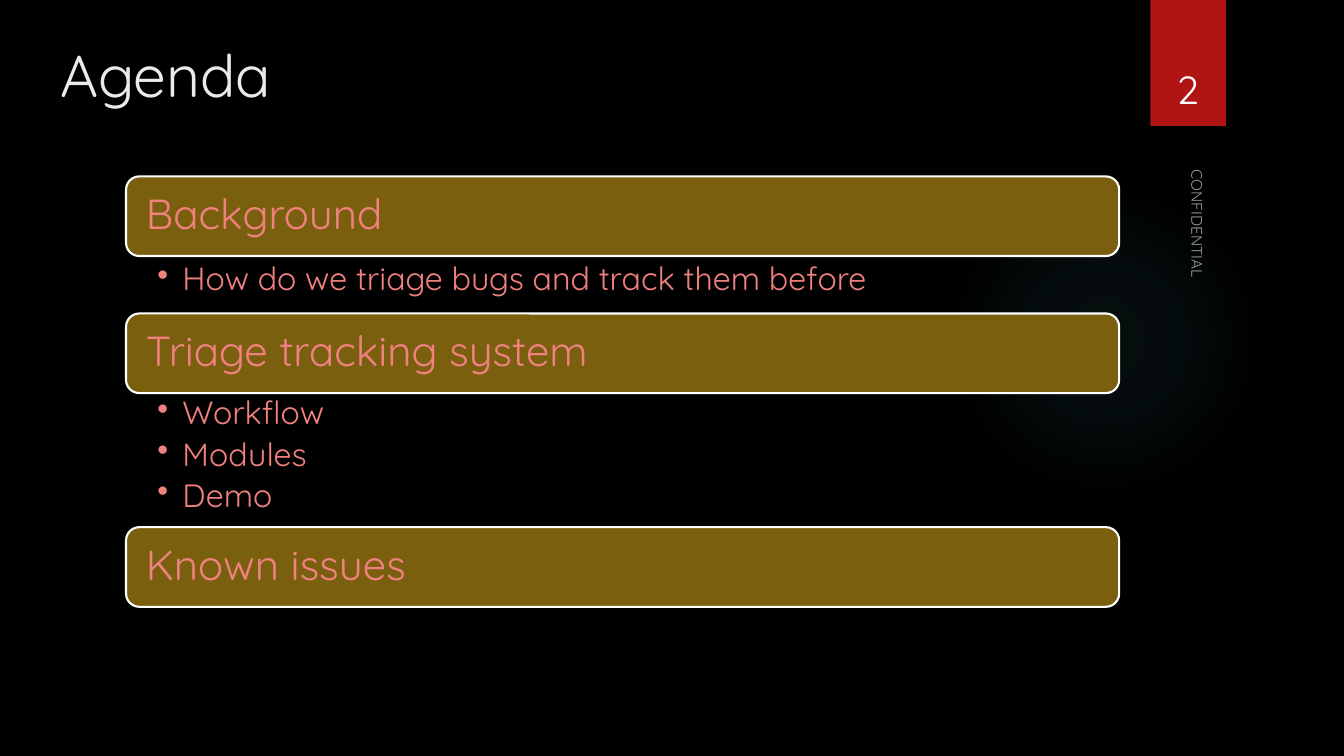
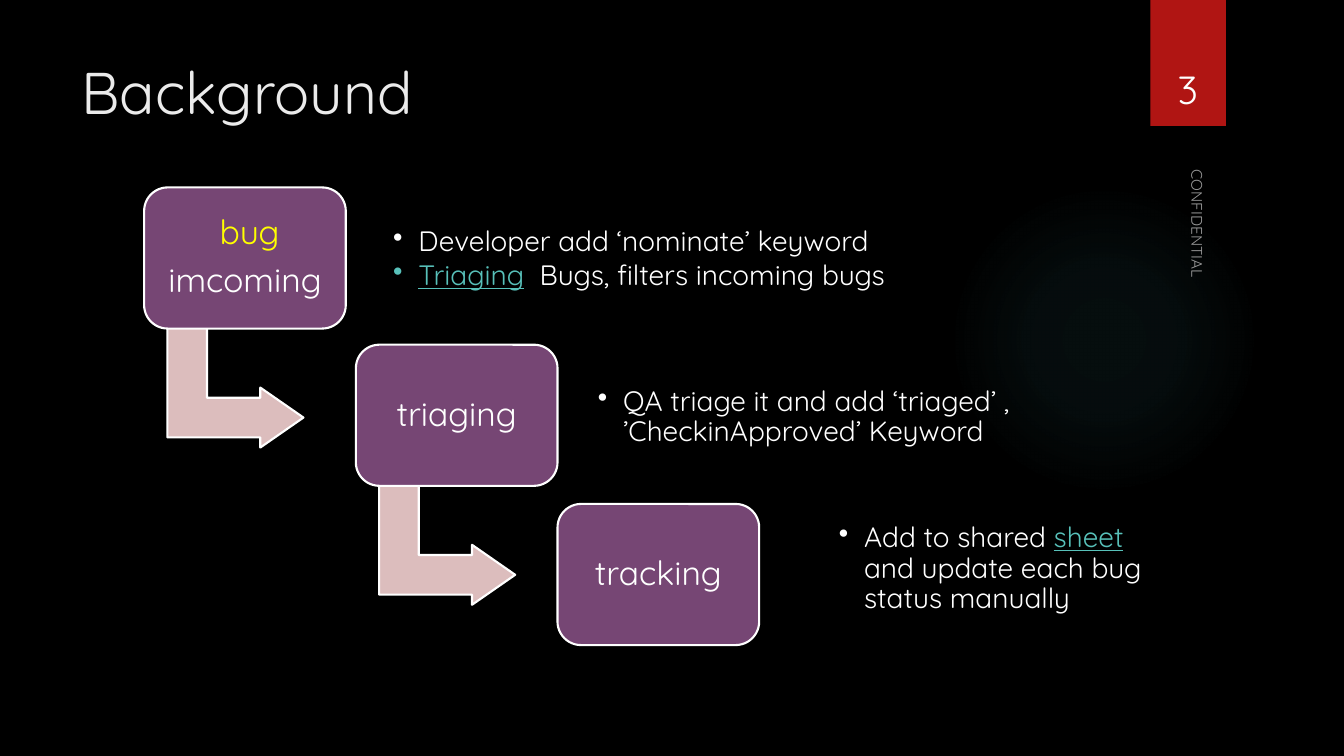
from dataclasses import dataclass

import pptx
import pptx.dml.color
import pptx.enum.shapes
import pptx.enum.text
import pptx.oxml
import pptx.oxml.ns
import pptx.shapes.autoshape
import pptx.slide
import pptx.text.text
import pptx.util

Inches = pptx.util.Inches
Pt = pptx.util.Pt
SHAPE = pptx.enum.shapes.MSO_SHAPE
ANCHOR = pptx.enum.text.MSO_ANCHOR
ALIGN = pptx.enum.text.PP_ALIGN


@dataclass(frozen=True)
class Theme:
    font: str = "Quicksand"
    background: str = "000000"
    glow: str = "50B9C1"
    tab: str = "B01513"
    title: str = "EBEBEB"
    text: str = "FFFFFF"
    muted: str = "999999"
    bar: str = "795F0E"
    agenda: str = "F1817F"
    card: str = "764674"
    arrow: str = "DCBDBD"
    highlight: str = "FFFF00"
    link: str = "58C1BA"
    title_pt: int = 42
    number_pt: int = 28
    footer_pt: int = 11
    bar_pt: int = 30
    item_pt: int = 23
    card_pt: int = 24
    note_pt: int = 20
    outline_pt: float = 1.5


THEME = Theme()


@dataclass(frozen=True)
class Box:
    left: float
    top: float
    width: float
    height: float

    def emu(self) -> tuple[int, int, int, int]:
        return (Inches(self.left), Inches(self.top),
                Inches(self.width), Inches(self.height))


@dataclass(frozen=True)
class Run:
    text: str
    color: str = THEME.text
    underline: bool = False


Paragraph = tuple[Run, ...]


@dataclass(frozen=True)
class TextStyle:
    """Insets are left, top, right, bottom in inches; after is a share of the size."""
    size: int
    insets: tuple[float, float, float, float] = (0.1, 0.05, 0.1, 0.05)
    anchor: ANCHOR = ANCHOR.TOP
    align: ALIGN = ALIGN.LEFT
    spacing: float = 1.0
    after: float = 0
    bullet: bool = False


TITLE = TextStyle(THEME.title_pt)
FOOTER = TextStyle(THEME.footer_pt, anchor=ANCHOR.BOTTOM)
NUMBER = TextStyle(THEME.number_pt, anchor=ANCHOR.BOTTOM, align=ALIGN.CENTER)
BAR = TextStyle(THEME.bar_pt, (0.16,) * 4, ANCHOR.MIDDLE, spacing=0.9, after=0.35)
ITEMS = TextStyle(THEME.item_pt, (0.31, 0.04, 0.23, 0.04), spacing=0.9,
                  after=0.2, bullet=True)
CARD = TextStyle(THEME.card_pt, (0.17,) * 4, ANCHOR.MIDDLE, ALIGN.CENTER, 0.9, 0.35)
NOTE = TextStyle(THEME.note_pt, (0.08,) * 4, ANCHOR.MIDDLE, spacing=0.9,
                 after=0.15, bullet=True)


@dataclass(frozen=True)
class Section:
    title: str
    top: float
    list_box: Box | None = None
    items: tuple[str, ...] = ()


@dataclass(frozen=True)
class Step:
    left: float
    top: float
    label: tuple[Paragraph, ...]
    note_box: Box
    note: tuple[Paragraph, ...]


BAR_LEFT, BAR_WIDTH, BAR_HEIGHT = 1.25, 9.85, 0.79
CARD_WIDTH, CARD_HEIGHT = 2, 1.4

SECTIONS = (
    Section("Background", 1.75, Box(BAR_LEFT, 2.57, BAR_WIDTH, 0.54),
            ("How do we triage bugs and track them before",)),
    Section("Triage tracking system", 3.11, Box(BAR_LEFT, 3.9, BAR_WIDTH, 1.32),
            ("Workflow", "Modules", "Demo")),
    Section("Known issues", 5.23),
)

STEPS = (
    Step(1.43, 1.86,
         ((Run(" "), Run("bug", THEME.highlight)), (Run("imcoming"),)),
         Box(3.82, 2.01, 5.91, 1.13),
         ((Run("Developer add ‘nominate’ keyword"),),
          (Run("Triaging", THEME.link, True), Run("  Bugs, filters incoming bugs")))),
    Step(3.53, 3.42, ((Run("triaging"),),),
         Box(5.85, 3.58, 5.14, 1.13),
         ((Run("QA triage it and add ‘triaged’ , ’CheckinApproved’ Keyword"),),)),
    Step(5.53, 5, ((Run("tracking"),),),
         Box(8.24, 5.21, 3.35, 0.87),
         ((Run("Add to shared "), Run("sheet", THEME.link, True),
           Run(" and update each bug status manually")),)),
)


def rgb(color: str) -> pptx.dml.color.RGBColor:
    return pptx.dml.color.RGBColor.from_string(color)


def add_bullet(p: pptx.text.text._Paragraph) -> None:
    pPr = p._p.get_or_add_pPr()
    pPr.set("marL", str(Inches(0.25)))
    pPr.set("indent", str(-Inches(0.25)))
    pPr.append(pptx.oxml.parse_xml(
        f'<a:buChar {pptx.oxml.ns.nsdecls("a")} char="•"/>'))


def write(tf: pptx.text.text.TextFrame, paragraphs: tuple[Paragraph, ...],
          style: TextStyle) -> None:
    tf.word_wrap = True
    tf.vertical_anchor = style.anchor
    tf.margin_left, tf.margin_top, tf.margin_right, tf.margin_bottom = map(
        Inches, style.insets)
    for i, runs in enumerate(paragraphs):
        p = tf.paragraphs[0] if i == 0 else tf.add_paragraph()
        p.alignment = style.align
        p.line_spacing = style.spacing
        p.space_after = Pt(style.size * style.after)
        if style.bullet:
            add_bullet(p)
        for run in runs:
            r = p.add_run()
            r.text = run.text
            r.font.name = THEME.font
            r.font.size = Pt(style.size)
            r.font.color.rgb = rgb(run.color)
            r.font.underline = run.underline


def add_text(s: pptx.slide.Slide, box: Box, paragraphs: tuple[Paragraph, ...],
             style: TextStyle, rotation: float = 0) -> None:
    sp = s.shapes.add_textbox(*box.emu())
    sp.rotation = rotation
    write(sp.text_frame, paragraphs, style)


def add_shape(s: pptx.slide.Slide, kind: SHAPE, box: Box, fill: str,
              outlined: bool = True) -> pptx.shapes.autoshape.Shape:
    sp = s.shapes.add_shape(kind, *box.emu())
    sp.shadow.inherit = False
    sp.fill.solid()
    sp.fill.fore_color.rgb = rgb(fill)
    if outlined:
        sp.line.color.rgb = rgb(THEME.text)
        sp.line.width = Pt(THEME.outline_pt)
    else:
        sp.line.fill.background()
    return sp


def add_glow(s: pptx.slide.Slide) -> None:
    """Draw the faint round light, fading to clear at its edge."""
    sp = add_shape(s, SHAPE.OVAL, Box(9.41, 1.83, 3.08, 3.08), THEME.glow, False)
    stops = "".join(
        f'<a:gs pos="{pos * 1000}"><a:srgbClr val="{THEME.glow}">'
        f'<a:alpha val="{alpha * 1000}"/></a:srgbClr></a:gs>'
        for pos, alpha in ((0, 7), (36, 6), (69, 0)))
    gradient = pptx.oxml.parse_xml(
        f'<a:gradFill {pptx.oxml.ns.nsdecls("a")}><a:gsLst>{stops}</a:gsLst>'
        '<a:path path="circle"><a:fillToRect l="50000" t="50000" r="50000" b="50000"/>'
        '</a:path></a:gradFill>')
    spPr = sp._element.spPr
    spPr.replace(spPr.find(pptx.oxml.ns.qn("a:solidFill")), gradient)


def add_slide(prs: pptx.presentation.Presentation, number: int, title: str,
              title_box: Box) -> pptx.slide.Slide:
    """Add a slide with the shared glow, number tab, footer and title."""
    s = prs.slides.add_slide(prs.slide_layouts[6])
    add_glow(s)
    add_shape(s, SHAPE.RECTANGLE, Box(11.41, 0, 0.75, 1.25), THEME.tab, False)
    add_text(s, title_box, ((Run(title, THEME.title),),), TITLE)
    add_text(s, Box(9.79, 3.53, 4.22, 0.33),
             ((Run("CONFIDENTIAL", THEME.muted),),), FOOTER, 90)
    add_text(s, Box(11.32, 0.32, 0.92, 0.84), ((Run(str(number)),),), NUMBER)
    return s


def add_section(s: pptx.slide.Slide, section: Section) -> None:
    bar = add_shape(s, SHAPE.ROUNDED_RECTANGLE,
                    Box(BAR_LEFT, section.top, BAR_WIDTH, BAR_HEIGHT), THEME.bar)
    write(bar.text_frame, ((Run(section.title, THEME.agenda),),), BAR)
    if section.list_box:
        add_text(s, section.list_box,
                 tuple((Run(item, THEME.agenda),) for item in section.items), ITEMS)


def add_step(s: pptx.slide.Slide, step: Step, has_next: bool) -> None:
    if has_next:
        arrow = add_shape(s, SHAPE.BENT_UP_ARROW,
                          Box(step.left + 0.31, step.top + 1.31, 1.19, 1.35),
                          THEME.arrow)
        arrow.rotation = 90
        for i, value in enumerate((0.33, 0.25, 0.36)):
            arrow.adjustments[i] = value
    card = add_shape(s, SHAPE.ROUNDED_RECTANGLE,
                     Box(step.left, step.top, CARD_WIDTH, CARD_HEIGHT), THEME.card)
    write(card.text_frame, step.label, CARD)
    add_text(s, step.note_box, step.note, NOTE)


def main() -> None:
    prs = pptx.Presentation()
    prs.slide_width, prs.slide_height = Inches(13.33), Inches(7.5)
    background = prs.slide_master.background.fill
    background.solid()
    background.fore_color.rgb = rgb(THEME.background)

    agenda = add_slide(prs, 2, "Agenda", Box(0.5, 0.33, 10.5, 0.89))
    for section in SECTIONS:
        add_section(agenda, section)

    workflow = add_slide(prs, 3, "Background", Box(0.71, 0.5, 10.28, 1.53))
    for step in STEPS:
        add_step(workflow, step, has_next=step is not STEPS[-1])

    prs.save("out.pptx")


if __name__ == "__main__":
    main()
